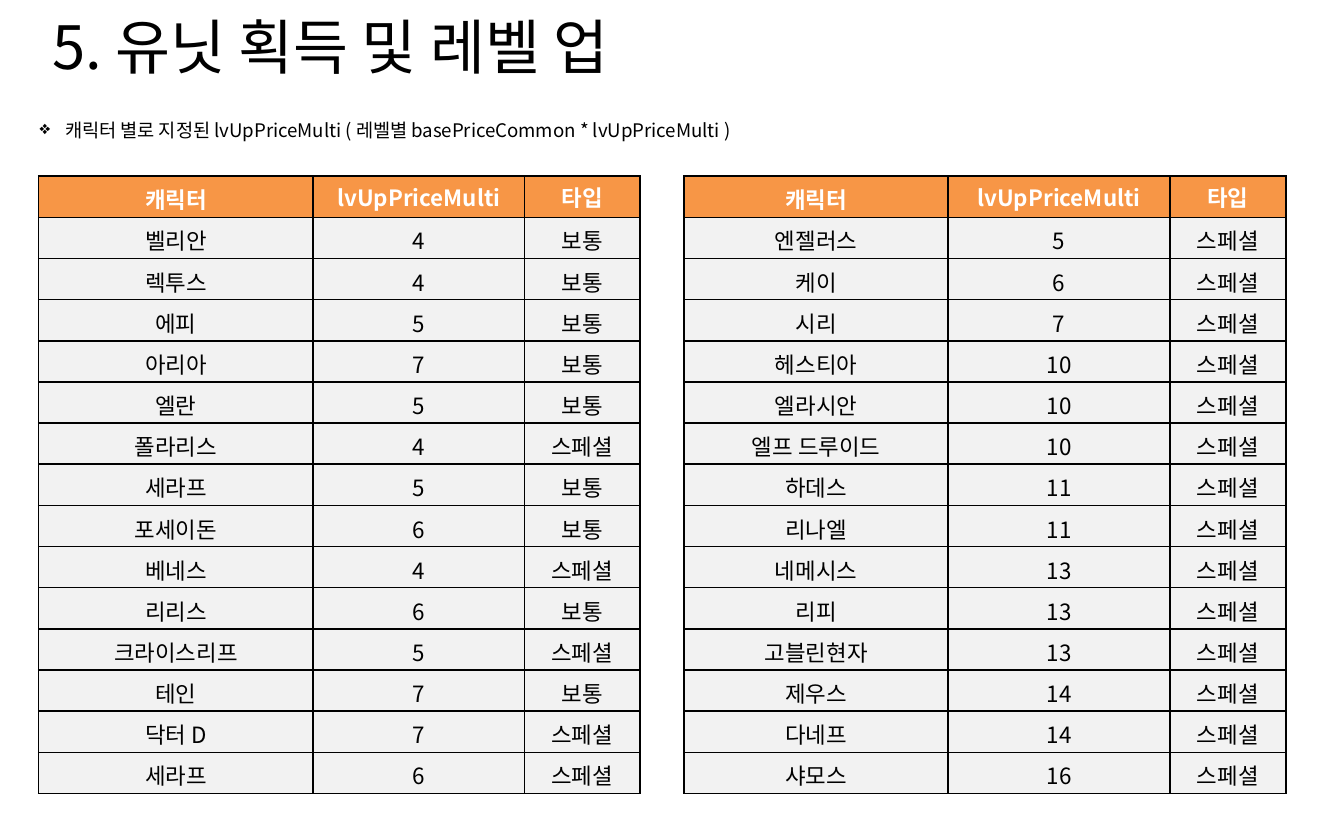
from pptx import Presentation
from pptx.dml.color import RGBColor
from pptx.enum.text import MSO_ANCHOR, MSO_AUTO_SIZE, PP_ALIGN
from pptx.oxml import parse_xml
from pptx.oxml.ns import nsdecls, qn
from pptx.util import Cm, Pt
from lxml import etree

LEFT, CENTER = PP_ALIGN.LEFT, PP_ALIGN.CENTER
TOP, MIDDLE = MSO_ANCHOR.TOP, MSO_ANCHOR.MIDDLE
FIT_SHAPE = MSO_AUTO_SIZE.SHAPE_TO_FIT_TEXT
TITLE_ONLY = 5

# Content
TITLE = "5. 유닛 획득 및 레벨 업"
FORMULA = "캐릭터 별로 지정된 lvUpPriceMulti ( 레벨별 basePriceCommon * lvUpPriceMulti )"
HEADINGS = ("캐릭터", "lvUpPriceMulti", "타입")
BASIC_UNITS = [
    ("벨리안", 4, "보통"), ("렉투스", 4, "보통"), ("에피", 5, "보통"),
    ("아리아", 7, "보통"), ("엘란", 5, "보통"), ("폴라리스", 4, "스페셜"),
    ("세라프", 5, "보통"), ("포세이돈", 6, "보통"), ("베네스", 4, "스페셜"),
    ("리리스", 6, "보통"), ("크라이스리프", 5, "스페셜"), ("테인", 7, "보통"),
    ("닥터 D", 7, "스페셜"), ("세라프", 6, "스페셜"),
]
SPECIAL_UNITS = [(name, price, "스페셜") for name, price in (
    ("엔젤러스", 5), ("케이", 6), ("시리", 7), ("헤스티아", 10), ("엘라시안", 10),
    ("엘프 드루이드", 10), ("하데스", 11), ("리나엘", 11), ("네메시스", 13),
    ("리피", 13), ("고블린현자", 13), ("제우스", 14), ("다네프", 14), ("샤모스", 16),
)]
# Each table: left edge, column widths (cm), units
TABLES = [
    (0.73, (5.19, 3.99, 2.19), BASIC_UNITS),
    (12.93, (4.99, 4.19, 2.19), SPECIAL_UNITS),
]

# Style
FONT = "Noto Sans CJK KR"
BLACK, WHITE, ORANGE, GREY = "000000", "FFFFFF", "F79646", "F2F2F2"
TABLE_TOP, TABLE_HEIGHT = 3.33, 11.68


def color(value):
    return RGBColor.from_string(value)


def write(frame, text, size, ink=BLACK, bold=False, align=LEFT, bullet=None):
    paragraph = frame.paragraphs[0]
    paragraph.alignment = align
    if bullet:
        props = paragraph._p.get_or_add_pPr()
        props.set("marL", str(Cm(0.48)))
        props.set("indent", str(-Cm(0.48)))
        etree.SubElement(props, qn("a:buChar")).set("char", bullet)
    run = paragraph.add_run()
    run.text = text
    font = run.font
    font.name, font.size, font.bold = FONT, Pt(size), bold
    font.color.rgb = color(ink)
    etree.SubElement(run._r.get_or_add_rPr(), qn("a:ea")).set("typeface", FONT)


def place(shape, left, top, width, height):
    shape.left, shape.top, shape.width, shape.height = map(Cm, (left, top, width, height))
    frame = shape.text_frame
    frame.word_wrap = False
    frame.auto_size = FIT_SHAPE
    frame.vertical_anchor = TOP
    return frame


def add_borders(cell):
    props = cell._tc.get_or_add_tcPr()
    for side in ("lnL", "lnR", "lnT", "lnB"):
        props.append(parse_xml(
            f'<a:{side} {nsdecls("a")} w="{Pt(1)}"><a:solidFill>'
            f'<a:srgbClr val="{BLACK}"/></a:solidFill></a:{side}>'))


def add_unit_table(slide, left, widths, units):
    rows = [HEADINGS, *units]
    table = slide.shapes.add_table(
        len(rows), len(HEADINGS), Cm(left), Cm(TABLE_TOP),
        Cm(sum(widths)), Cm(TABLE_HEIGHT)).table
    for column, width in zip(table.columns, widths):
        column.width = Cm(width)
    for r, values in enumerate(rows):
        heading = r == 0
        table.rows[r].height = Cm(TABLE_HEIGHT / len(rows))
        for c, value in enumerate(values):
            cell = table.cell(r, c)
            add_borders(cell)
            cell.fill.solid()
            cell.fill.fore_color.rgb = color(ORANGE if heading else GREY)
            cell.vertical_anchor = MIDDLE
            if heading and c > 0:
                cell.margin_left = cell.margin_right = 0
                cell.margin_top = cell.margin_bottom = 0
            write(cell.text_frame, str(value), 12, ink=WHITE if heading else BLACK,
                  bold=heading, align=CENTER)


def main():
    deck = Presentation()
    deck.slide_width, deck.slide_height = Cm(25.4), Cm(15.88)
    slide = deck.slides.add_slide(deck.slide_layouts[TITLE_ONLY])

    # Title and price formula
    write(place(slide.shapes.title, 0.73, 0.05, 11.81, 1.62), TITLE, 32)
    formula = slide.shapes.add_textbox(0, 0, 0, 0)
    write(place(formula, 0.5, 2.13, 14.05, 0.68), FORMULA, 10, bullet="❖")

    # Unit tables
    for left, widths, units in TABLES:
        add_unit_table(slide, left, widths, units)

    deck.save("out.pptx")


if __name__ == "__main__":
    main()
